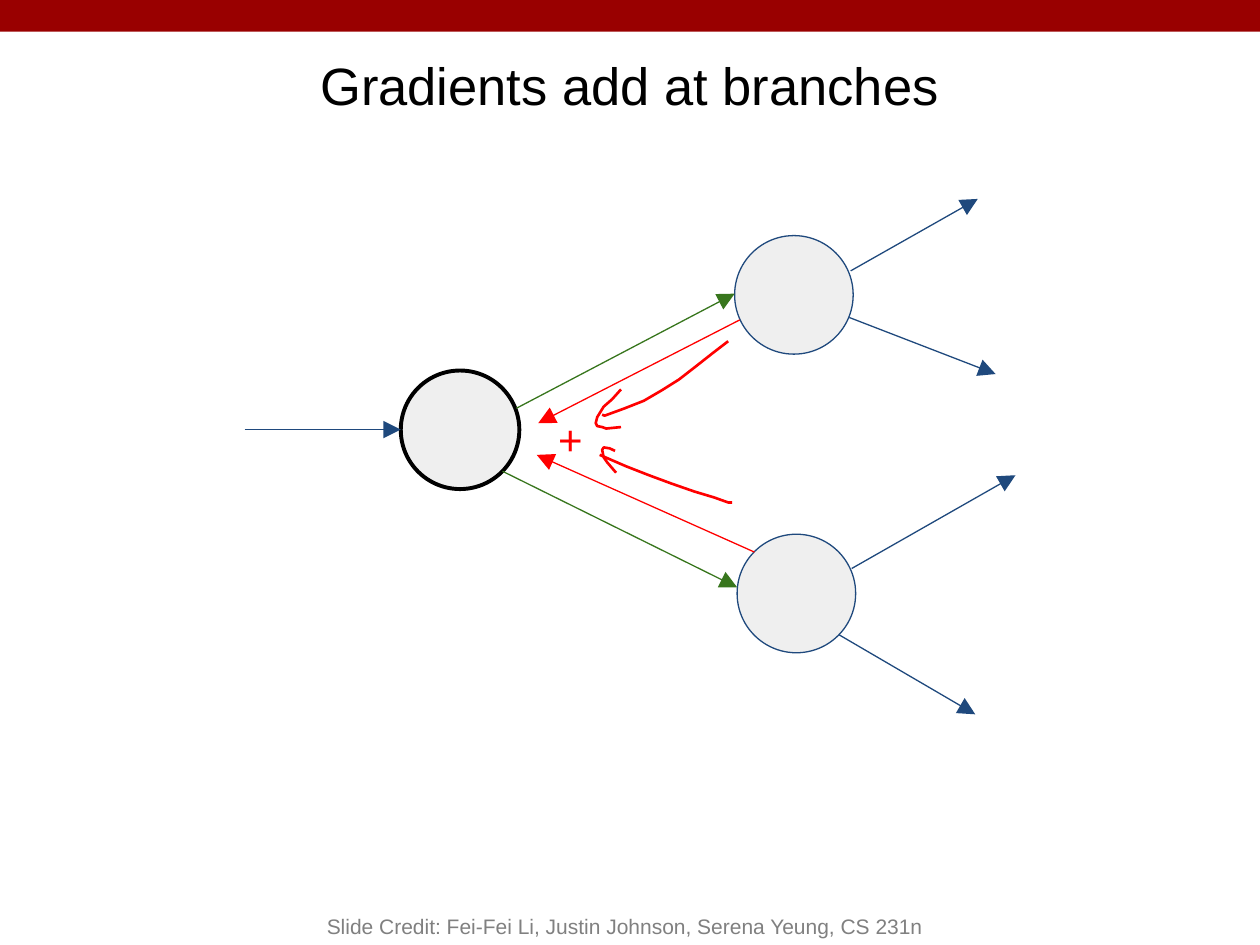
from dataclasses import dataclass

import pptx
import pptx.dml.color
import pptx.enum.shapes
import pptx.enum.text
import pptx.oxml
import pptx.oxml.ns
import pptx.util

Cm, Pt = pptx.util.Cm, pptx.util.Pt
RGB = pptx.dml.color.RGBColor.from_string
SHAPE = pptx.enum.shapes.MSO_SHAPE
ALIGN = pptx.enum.text.PP_ALIGN
ANCHOR = pptx.enum.text.MSO_ANCHOR


@dataclass(frozen=True)
class Theme:
    font: str = "Arial"
    bar: str = "990000"
    ink: str = "000000"
    node: str = "EFEFEF"
    flow: str = "1F497D"
    forward: str = "38761D"
    gradient: str = "FF0000"
    credit: str = "808080"
    title_size: int = 30
    plus_size: int = 24
    credit_size: int = 12
    thin: float = 0.75
    pen: float = 1.5
    bold: float = 2.25


@dataclass(frozen=True)
class Node:
    left: float
    top: float
    color: str
    width: float


@dataclass(frozen=True)
class Arrow:
    start: tuple[float, float]
    end: tuple[float, float]
    color: str


T = Theme()
DIAMETER = 2.39

NODES = [
    Node(8.08, 7.47, T.ink, T.bold),
    Node(14.81, 4.75, T.flow, T.thin),
    Node(14.86, 10.77, T.flow, T.thin),
]

ARROWS = [
    Arrow((10.41, 8.23), (14.81, 5.92), T.forward),
    Arrow((10.13, 9.5), (14.86, 11.84), T.forward),
    Arrow((14.91, 6.45), (10.85, 8.53), T.gradient),
    Arrow((15.21, 11.13), (10.82, 9.17), T.gradient),
    Arrow((17.15, 5.46), (19.71, 4.01), T.flow),
    Arrow((17.12, 6.4), (20.07, 7.54), T.flow),
    Arrow((17.17, 11.46), (20.47, 9.58), T.flow),
    Arrow((16.92, 12.8), (19.66, 14.4), T.flow),
    Arrow((4.93, 8.66), (8.08, 8.66), T.flow),
]

# Hand-drawn arrows: shaft and head of the upper one, then of the lower one
STROKES = [
    [(14.68, 6.88), (14.38, 7.11), (14.05, 7.37), (13.69, 7.65), (13.34, 7.87),
     (12.98, 8.08), (12.6, 8.23), (12.19, 8.38), (12.14, 8.36)],
    [(12.52, 7.85), (12.34, 8.05), (12.17, 8.2), (12.04, 8.41), (12.01, 8.53),
     (12.04, 8.59), (12.14, 8.61), (12.22, 8.64), (12.52, 8.61)],
    [(14.76, 10.13), (14.68, 10.13), (14.4, 10.03), (14, 9.91), (13.54, 9.75),
     (13.08, 9.58), (12.62, 9.4), (12.32, 9.27), (12.09, 9.17)],
    [(12.4, 9.09), (12.29, 9.04), (12.17, 9.02), (12.14, 9.07), (12.17, 9.22),
     (12.24, 9.32), (12.42, 9.53)],
]


def set_line(line, color: str, width: float) -> None:
    line.color.rgb = RGB(color)
    line.width = Pt(width)


def set_fill(sp, color: str) -> None:
    sp.fill.solid()
    sp.fill.fore_color.rgb = RGB(color)
    sp.shadow.inherit = False


def add_node(slide, node: Node) -> None:
    sp = slide.shapes.add_shape(SHAPE.OVAL, Cm(node.left), Cm(node.top),
                                Cm(DIAMETER), Cm(DIAMETER))
    set_fill(sp, T.node)
    set_line(sp.line, node.color, node.width)


def add_arrow(slide, arrow: Arrow) -> None:
    ends = [Cm(v) for v in arrow.start + arrow.end]
    cxn = slide.shapes.add_connector(
        pptx.enum.shapes.MSO_CONNECTOR.STRAIGHT, *ends)
    set_line(cxn.line, arrow.color, T.thin)
    head = pptx.oxml.parse_xml(
        f'<a:tailEnd {pptx.oxml.ns.nsdecls("a")} type="triangle" w="lg" len="lg"/>')
    cxn.line._get_or_add_ln().append(head)
    cxn._element.spPr.append(
        pptx.oxml.parse_xml(f'<a:effectLst {pptx.oxml.ns.nsdecls("a")}/>'))


def add_stroke(slide, points: list[tuple[float, float]]) -> None:
    start, *rest = [(Cm(x), Cm(y)) for x, y in points]
    builder = slide.shapes.build_freeform(*start)
    builder.add_line_segments(rest, close=False)
    sp = builder.convert_to_shape()
    sp.fill.background()
    sp.shadow.inherit = False
    set_line(sp.line, T.gradient, T.pen)


def write(sp, text: str, size: int, color: str, align, **frame) -> None:
    tf = sp.text_frame
    frame = {"word_wrap": True,
             "auto_size": pptx.enum.text.MSO_AUTO_SIZE.NONE, **frame}
    for name, value in frame.items():
        setattr(tf, name, value)
    p = tf.paragraphs[0]
    p.alignment = align
    r = p.add_run()
    r.text = text
    for name, value in {"name": T.font, "size": Pt(size)}.items():
        setattr(r.font, name, value)
    r.font.color.rgb = RGB(color)


def main() -> None:
    prs = pptx.Presentation()
    prs.slide_width, prs.slide_height = Cm(25.4), Cm(19.05)
    slide = prs.slides.add_slide(prs.slide_layouts[5])

    # Top bar
    bar = slide.shapes.add_shape(SHAPE.RECTANGLE, 0, 0, prs.slide_width, Cm(0.64))
    set_fill(bar, T.bar)
    bar.line.fill.background()

    # Title
    title = slide.shapes.title
    box = {"left": 0.86, "top": 0.64, "width": 23.67, "height": 2.13}
    for name, value in box.items():
        setattr(title, name, Cm(value))
    write(title, "Gradients add at branches", T.title_size, T.ink, ALIGN.CENTER,
          vertical_anchor=ANCHOR.MIDDLE)

    # Graph
    for node in NODES:
        add_node(slide, node)
    for arrow in ARROWS:
        add_arrow(slide, arrow)

    # Sum of the gradients
    plus = slide.shapes.add_textbox(Cm(11), Cm(8.08), Cm(1.09), Cm(1.14))
    inset = Cm(0.25)
    write(plus, "+", T.plus_size, T.gradient, ALIGN.LEFT, margin_left=inset,
          margin_top=inset, margin_right=inset, margin_bottom=inset)
    for points in STROKES:
        add_stroke(slide, points)

    # Credit
    credit = slide.shapes.add_textbox(Cm(5.08), Cm(17.78), Cm(15.04), Cm(1.27))
    write(credit, "Slide Credit: Fei-Fei Li, Justin Johnson, Serena Yeung, CS 231n",
          T.credit_size, T.credit, ALIGN.CENTER, vertical_anchor=ANCHOR.BOTTOM)

    prs.save("out.pptx")


if __name__ == "__main__":
    main()
